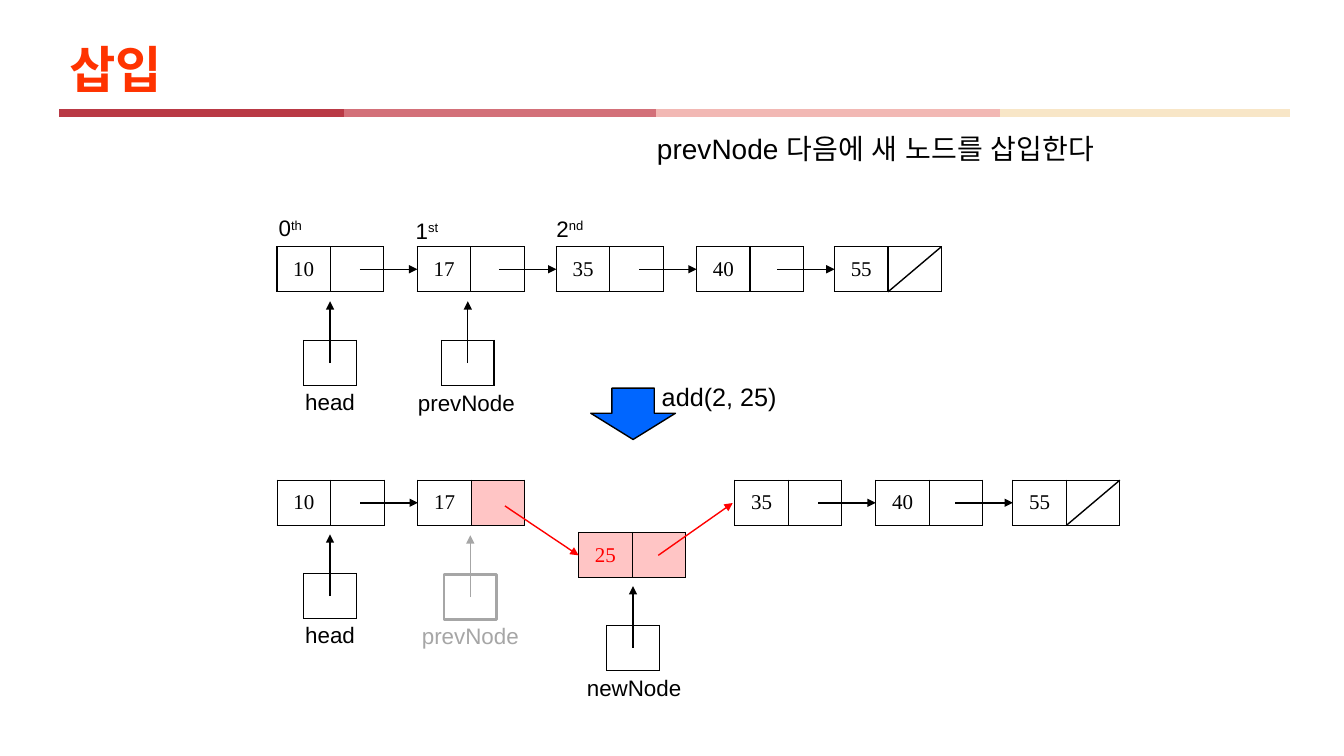
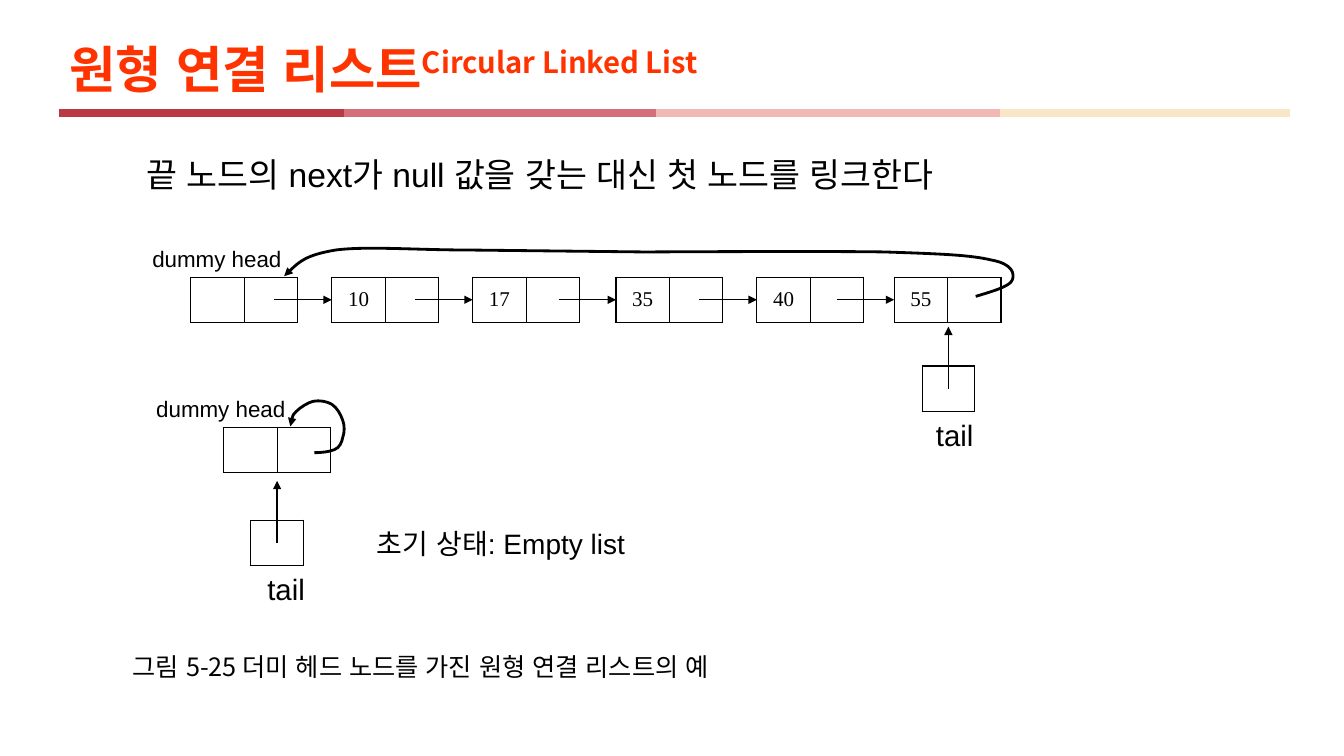
from itertools import pairwise

from lxml.etree import SubElement
from pptx import Presentation
from pptx.dml.color import RGBColor
from pptx.enum.shapes import MSO_CONNECTOR, MSO_SHAPE
from pptx.enum.text import MSO_ANCHOR, MSO_AUTO_SIZE, PP_ALIGN
from pptx.oxml.ns import qn
from pptx.util import Pt

BLACK = "000000"
RED = "FF0000"
GRAY = "A6A6A6"
PINK = "FFC5C5"
BLUE = "0066FF"
TITLE_COLOR = "FF3300"
BAND_COLORS = ["B93945", "D37079", "F2B8B4", "F8E6C7"]
BAND_STOPS = [42.5, 245.5, 468.7, 714, 921.5]
SANS = "Arial"
SERIF = "Times New Roman"
KOREAN = "Noto Sans CJK KR"
CELL_WIDTH = 38.2
CELL_HEIGHT = 32.3
POINTER_WIDTH = 37.5
LINK_LENGTH = 41
POINTER_REACH = 28


def color(value):
    return RGBColor.from_string(value)


def format_runs(paragraph, size, font, ink, bold=False):
    for span in paragraph.runs:
        span.font.size = Pt(size)
        span.font.name = font
        span.font.bold = bold
        span.font.color.rgb = color(ink)
        properties = span._r.get_or_add_rPr()
        SubElement(properties, qn("a:ea"), typeface=SANS)


def add_text(page, left, top, width, height, text, size, font=SANS, ink=BLACK,
             align=PP_ALIGN.LEFT, raised="", bold=False):
    box = page.shapes.add_textbox(Pt(left), Pt(top), Pt(width), Pt(height))
    frame = box.text_frame
    frame.word_wrap = False
    frame.auto_size = MSO_AUTO_SIZE.SHAPE_TO_FIT_TEXT
    para = frame.paragraphs[0]
    para.text = text
    para.alignment = align
    if raised:
        span = para.add_run()
        span.text = raised
        span._r.get_or_add_rPr().set("baseline", "30000")
    format_runs(para, size, font, ink, bold)
    return frame


def style_line(shape, ink, weight, arrow=False):
    shape.line.color.rgb = color(ink)
    shape.line.width = Pt(weight)
    if arrow:
        SubElement(shape.element.spPr.find(qn("a:ln")), qn("a:tailEnd"), type="triangle")


def add_line(page, start, end, ink=BLACK, weight=1, arrow=False):
    line = page.shapes.add_connector(MSO_CONNECTOR.STRAIGHT, *map(Pt, start + end))
    style_line(line, ink, weight, arrow)
    SubElement(line.element.spPr, qn("a:effectLst"))


def add_shape(page, kind, left, top, width, height, ink, weight, fill=None):
    shape = page.shapes.add_shape(kind, Pt(left), Pt(top), Pt(width), Pt(height))
    shape.shadow.inherit = False
    if fill:
        shape.fill.solid()
        shape.fill.fore_color.rgb = color(fill)
    else:
        shape.fill.background()
    style_line(shape, ink, weight)
    return shape


def add_curved_arrow(page, points):
    points = [(Pt(x), Pt(y)) for x, y in points]
    builder = page.shapes.build_freeform(*points[0])
    builder.add_line_segments(points[3::3], close=False)
    curve = builder.convert_to_shape()
    for i, segment in enumerate(list(curve.element.iter(qn("a:lnTo")))):
        segment.tag = qn("a:cubicBezTo")
        segment.remove(segment[0])
        for x, y in points[3 * i + 1:3 * i + 4]:
            SubElement(segment, qn("a:pt"), x=str(x - curve.left), y=str(y - curve.top))
    curve.shadow.inherit = False
    curve.fill.background()
    style_line(curve, BLACK, 2, arrow=True)


def add_borders(cell):
    properties = cell._tc.get_or_add_tcPr()
    for side in ("a:lnL", "a:lnR", "a:lnT", "a:lnB"):
        border = SubElement(properties, qn(side), w=str(Pt(1)))
        solid = SubElement(border, qn("a:solidFill"))
        SubElement(solid, qn("a:srgbClr"), val=BLACK)


def add_cells(page, left, top, width, texts, fills, ink=BLACK):
    table = page.shapes.add_table(
        1, len(texts), Pt(left), Pt(top), Pt(width * len(texts)), Pt(CELL_HEIGHT)
    ).table
    table.first_row = False
    table.horz_banding = False
    for cell, text, fill in zip(table.rows[0].cells, texts, fills):
        add_borders(cell)
        if fill:
            cell.fill.solid()
            cell.fill.fore_color.rgb = color(fill)
        else:
            cell.fill.background()
        cell.vertical_anchor = MSO_ANCHOR.MIDDLE
        cell.margin_left = cell.margin_right = Pt(5)
        cell.margin_top = cell.margin_bottom = Pt(3)
        if text:
            para = cell.text_frame.paragraphs[0]
            para.text = text
            para.alignment = PP_ALIGN.CENTER
            format_runs(para, 15, SERIF, ink)


def add_node(page, left, top, value, fills=(None, None), ink=BLACK):
    add_cells(page, left, top, CELL_WIDTH, (value, ""), fills, ink)


def add_chain(page, top, lefts, values):
    for left, value in zip(lefts, values):
        add_node(page, left, top, value)
    add_links(page, top, lefts[1:])


def add_links(page, top, targets):
    middle = top + CELL_HEIGHT / 2
    for target in targets:
        add_line(page, (target - LINK_LENGTH, middle), (target, middle), arrow=True)


def add_null_mark(page, left, top):
    add_line(page, (left + 2 * CELL_WIDTH, top), (left + CELL_WIDTH, top + CELL_HEIGHT))


def add_pointer_arrow(page, left, top, label, size=16, shift=0, drop=30.5, ink=BLACK):
    center = left + POINTER_WIDTH / 2
    add_line(page, (center, top + CELL_HEIGHT / 2), (center, top - POINTER_REACH), ink, arrow=True)
    add_text(page, center - 42 + shift, top + drop, 84, 26.6, label, size,
             ink=ink, align=PP_ALIGN.CENTER)


def add_pointer(page, left, top, label, size=16, shift=0, drop=30.5):
    add_cells(page, left, top, POINTER_WIDTH, [""], [None])
    add_pointer_arrow(page, left, top, label, size, shift, drop)


def add_page(deck, title, raised=""):
    page = deck.slides.add_slide(deck.slide_layouts[6])
    for (start, end), ink in zip(pairwise(BAND_STOPS), BAND_COLORS):
        add_line(page, (start, 80.6), (end, 80.6), ink, 6)
    frame = add_text(page, 42.5, 23, 876, 57, title, 36, KOREAN, TITLE_COLOR,
                     raised=raised, bold=True)
    frame.word_wrap = True
    frame.auto_size = MSO_AUTO_SIZE.NONE
    frame.vertical_anchor = MSO_ANCHOR.MIDDLE
    frame.paragraphs[0].line_spacing = 0.9
    return page


def add_insertion_page(deck):
    page = add_page(deck, "삽입")
    add_text(page, 462.2, 90.7, 346.3, 31.7, "prevNode 다음에 새 노드를 삽입한다", 20)

    before = 176.2
    lefts = [197.8, 298.1, 397.4, 497.6, 596.1]
    add_chain(page, before, lefts, ["10", "17", "35", "40", "55"])
    add_null_mark(page, lefts[-1], before)
    for left, top, number, suffix in [
        (192, 149.6, "0", "th"), (289.8, 151.5, "1", "st"), (390.4, 149.8, "2", "nd")
    ]:
        add_text(page, left, top, 40, 26.6, number, 16, raised=suffix)
    add_pointer(page, 217, 243.2, "head")
    add_pointer(page, 315.4, 243.2, "prevNode", shift=-1, drop=31)

    arrow = add_shape(page, MSO_SHAPE.DOWN_ARROW, 422, 277.2, 60.5, 36.7, BLACK, 1, BLUE)
    arrow.adjustments[1] = 0.51
    add_text(page, 465.6, 268.6, 97.2, 28.8, "add(2, 25)", 18)

    after = 343
    add_node(page, 198, after, "10")
    add_node(page, 298.5, after, "17", (None, PINK))
    add_links(page, after, [298.5])
    tails = [524.9, 625.6, 723.5]
    add_chain(page, after, tails, ["35", "40", "55"])
    add_null_mark(page, tails[-1], after)
    add_node(page, 413.4, 380.3, "25", (PINK, PINK), RED)
    add_line(page, (360.7, 361.4), (413.3, 396.7), RED, arrow=True)
    add_line(page, (470.2, 396.7), (523.4, 359.3), RED, arrow=True)
    add_pointer(page, 217, 409.7, "head")
    add_shape(page, MSO_SHAPE.RECTANGLE, 317.2, 410.4, POINTER_WIDTH, CELL_HEIGHT, GRAY, 2)
    add_pointer_arrow(page, 317.2, 410.4, "prevNode", ink=GRAY)
    add_pointer(page, 433.4, 446.7, "newNode", shift=0.8, drop=31.6)


def add_circular_page(deck):
    page = add_page(deck, "원형 연결 리스트", "Circular Linked List")
    add_text(page, 97.5, 106.6, 619.2, 36,
             "끝 노드의 next가 null 값을 갖는 대신 첫 노드를 링크한다", 24)

    add_chain(page, 198, [136.2, 237, 337.6, 440, 540.6, 638.7],
              ["", "10", "17", "35", "40", "55"])
    add_text(page, 101.7, 171.4, 108, 26.6, "dummy head", 16)
    add_pointer(page, 658.7, 261.4, "tail", 21, 4.5, 33.1)
    add_curved_arrow(page, [
        (697, 211.7), (709.2, 208.1), (721.4, 204.5), (723, 200.2),
        (725, 195.8), (723.6, 188.6), (708.5, 185.8),
        (693.4, 182.2), (673.9, 181.4), (632.2, 180),
        (591.1, 179.3), (460.8, 180), (460.8, 180),
        (460.8, 180), (334.8, 178.6), (334.8, 178.6),
        (298, 178.6), (262, 175.7), (239.8, 178.6),
        (218.2, 182.2), (211, 189.4), (203, 197.3),
    ])

    add_node(page, 159.8, 305.3, "")
    add_text(page, 104.5, 278.6, 108, 26.6, "dummy head", 16)
    add_pointer(page, 179.2, 371.5, "tail", 21, 6.4, 33.1)
    add_curved_arrow(page, [
        (224.6, 323.3), (230.4, 323.3), (235.4, 322.6), (239, 321.1),
        (242.6, 319.7), (244.1, 316.1), (244.8, 312.5),
        (246.2, 308.9), (246.2, 303.8), (244.8, 300.2),
        (243.4, 295.9), (240.5, 290.9), (236.9, 288.7),
        (233.3, 286.6), (228.2, 285.8), (223.9, 286.6),
        (220.3, 287.3), (214.6, 290.9), (211.7, 293.8),
        (208.8, 296.6), (208.1, 300.2), (207.4, 304.6),
    ])
    add_text(page, 262, 372.6, 199.4, 31.7, "초기 상태: Empty list", 20)
    add_text(page, 87.8, 461.5, 473, 28.8,
             "그림 5-25 더미 헤드 노드를 가진 원형 연결 리스트의 예", 18, KOREAN)


def main():
    deck = Presentation()
    deck.slide_width = Pt(960)
    deck.slide_height = Pt(540)
    add_insertion_page(deck)
    add_circular_page(deck)
    deck.save("out.pptx")


if __name__ == "__main__":
    main()
